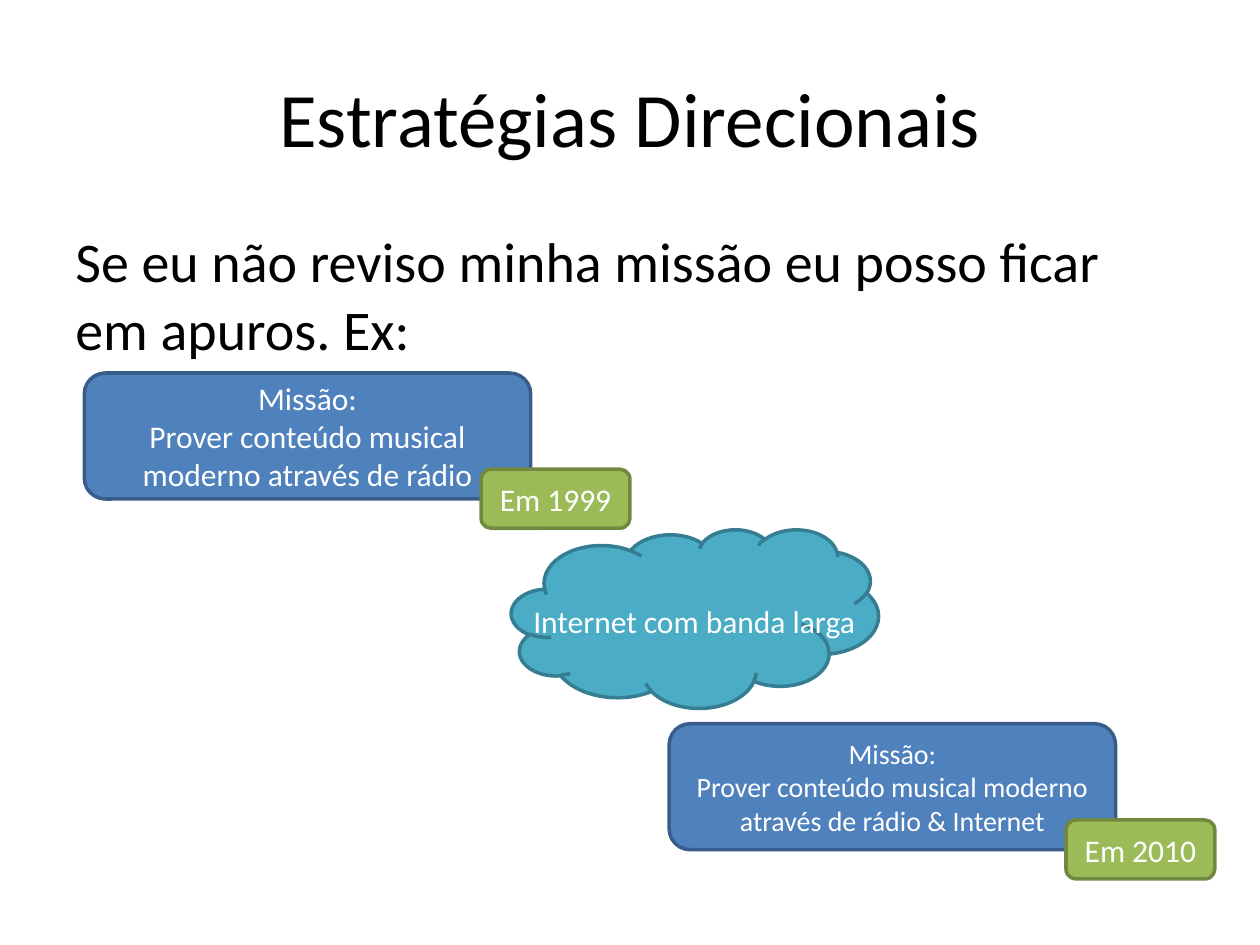
from lxml import etree
from pptx import Presentation
from pptx.dml.color import RGBColor
from pptx.enum.shapes import MSO_SHAPE
from pptx.enum.text import MSO_ANCHOR, PP_ALIGN
from pptx.oxml.ns import qn
from pptx.util import Cm, Pt

ROUNDED = MSO_SHAPE.ROUNDED_RECTANGLE
CLOUD = MSO_SHAPE.CLOUD
MIDDLE = MSO_ANCHOR.MIDDLE
LEFT, CENTER = PP_ALIGN.LEFT, PP_ALIGN.CENTER

BLACK = RGBColor(0x00, 0x00, 0x00)
WHITE = RGBColor(0xFF, 0xFF, 0xFF)
BLUE, BLUE_EDGE = RGBColor(0x4F, 0x81, 0xBD), RGBColor(0x38, 0x5D, 0x8A)
GREEN, GREEN_EDGE = RGBColor(0x9B, 0xBB, 0x59), RGBColor(0x71, 0x89, 0x3F)
TEAL, TEAL_EDGE = RGBColor(0x4B, 0xAC, 0xC6), RGBColor(0x35, 0x7D, 0x91)
FONT = "Calibri"

TITLE = "Estratégias Direcionais"
BULLET = "Se eu não reviso minha missão eu posso ficar em apuros. Ex:"
CHANGE = "Internet com banda larga"
MISSIONS = [
    (1.7, 7.52, 18, ["Missão:", "Prover conteúdo musical moderno através de rádio"], "Em 1999"),
    (13.49, 14.59, 16, ["Missão:", "Prover conteúdo musical moderno através de rádio & Internet"], "Em 2010"),
]
MISSION_SIZE = (9, 2.54)
YEAR_SIZE = (3, 1.19)
YEAR_OFFSET = (8, 1.94)


def write(frame, lines, size, color, alignment):
    frame.text = "\n".join(lines)
    for paragraph in frame.paragraphs:
        paragraph.alignment = alignment
        paragraph.font.name = FONT
        paragraph.font.size = Pt(size)
        paragraph.font.color.rgb = color


def add_filled(shapes, kind, box, fill, edge, lines, size):
    shape = shapes.add_shape(kind, *map(Cm, box))
    shape.shadow.inherit = False
    shape.fill.solid()
    shape.fill.fore_color.rgb = fill
    shape.line.color.rgb = edge
    shape.line.width = Pt(2)
    shape.text_frame.word_wrap = True
    shape.text_frame.vertical_anchor = MIDDLE
    write(shape.text_frame, lines, size, WHITE, CENTER)
    return shape


def add_bullet(paragraph, indent):
    properties = paragraph._p.get_or_add_pPr()
    properties.set("marL", str(indent))
    properties.set("indent", str(-indent))
    font = etree.SubElement(properties, qn("a:buFont"))
    font.set("typeface", "Arial")
    bullet = etree.SubElement(properties, qn("a:buChar"))
    bullet.set("char", "•")


def add_mission(slide, left, top, size, lines, year):
    group = slide.shapes.add_group_shape()
    add_filled(group.shapes, ROUNDED, (left, top, *MISSION_SIZE), BLUE, BLUE_EDGE, lines, size)
    year_box = (left + YEAR_OFFSET[0], top + YEAR_OFFSET[1], *YEAR_SIZE)
    add_filled(group.shapes, ROUNDED, year_box, GREEN, GREEN_EDGE, [year], 18)


def add_cloud(slide):
    cloud = add_filled(slide.shapes, CLOUD, (10.31, 10.67, 7.4, 3.6), TEAL, TEAL_EDGE, [CHANGE], 18)
    cloud.text_frame.word_wrap = False
    cloud.text_frame.margin_left = Cm(0.75)
    cloud.text_frame.margin_top = Cm(0.4)


def main():
    presentation = Presentation()
    presentation.slide_width, presentation.slide_height = Cm(25.4), Cm(19.05)
    slide = presentation.slides.add_slide(presentation.slide_layouts[5])

    title = slide.shapes.title
    title.left, title.top, title.width, title.height = map(Cm, (1.27, 0.76, 22.86, 3.18))
    title.text_frame.vertical_anchor = MIDDLE
    write(title.text_frame, [TITLE], 44, BLACK, CENTER)

    body = slide.shapes.add_textbox(*map(Cm, (1.27, 4.45, 22.86, 12.57)))
    body.text_frame.word_wrap = True
    add_bullet(body.text_frame.paragraphs[0], Cm(0.95))
    write(body.text_frame, [BULLET], 32, BLACK, LEFT)

    before, after = MISSIONS
    add_mission(slide, *before)
    add_cloud(slide)
    add_mission(slide, *after)
    presentation.save("out.pptx")


if __name__ == "__main__":
    main()
